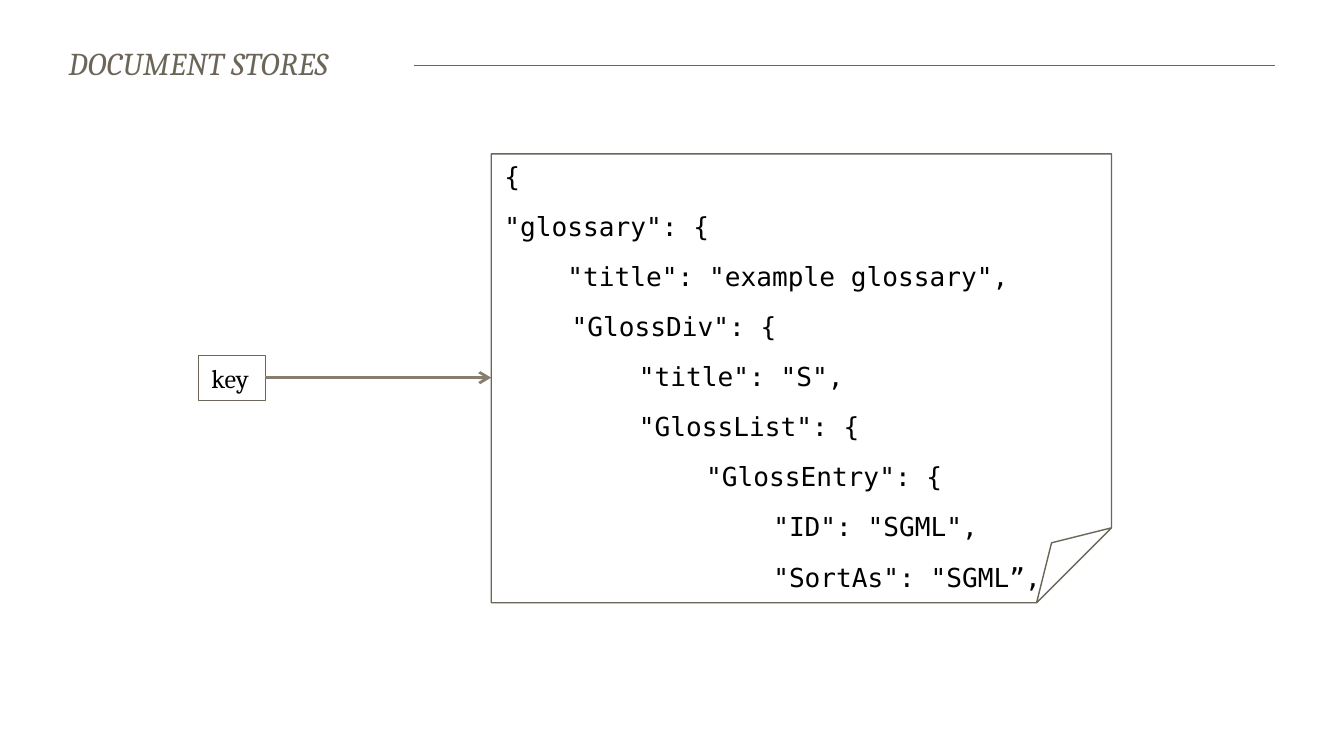
from lxml import etree
from pptx import Presentation
from pptx.dml.color import RGBColor
from pptx.enum.shapes import MSO_CONNECTOR as Connector, MSO_SHAPE as Shape
from pptx.enum.text import MSO_ANCHOR as Anchor, PP_ALIGN as Align
from pptx.oxml.ns import qn
from pptx.util import Pt

PX = 4572  # EMU per px, at 200 px to the inch
TAB = 100
BROWN = RGBColor(0x6C, 0x65, 0x59)
TAUPE = RGBColor(0x88, 0x7E, 0x6F)
BLACK = RGBColor(0, 0, 0)
WHITE = RGBColor(255, 255, 255)
SERIF, MONO = "Cambria", "DejaVu Sans Mono"

CODE = [
    '{',
    '"glossary": {',
    '    "title": "example glossary",',
    '\t"GlossDiv": {',
    '\t\t"title": "S",',
    '\t\t"GlossList": {',
    '\t\t\t"GlossEntry": {',
    '\t\t\t\t"ID": "SGML",',
    '\t\t\t\t"SortAs": "SGML”,',
]


def px(*lengths):
    return [length * PX for length in lengths]


def set_font(font, name, size, color):
    font.name, font.size, font.color.rgb = name, Pt(size), color


def add_line(page, x1, x2, y, color, width, arrow=False):
    line = page.shapes.add_connector(Connector.STRAIGHT, *px(x1, y, x2, y))
    line.line.color.rgb, line.line.width = color, Pt(width)
    if arrow:
        etree.SubElement(line.line._get_or_add_ln(), qn("a:tailEnd"), type="arrow")
    etree.SubElement(line._element.spPr, qn("a:effectLst"))


def add_outline(page, kind, box):
    shape = page.shapes.add_shape(kind, *px(*box))
    shape.shadow.inherit = False
    shape.fill.background()
    shape.line.color.rgb, shape.line.width = BROWN, Pt(0.75)
    return shape


def add_heading(page, box, text, line_end):
    left, top, width, height = box
    # The title's white fill hides the start of the rule
    add_line(page, left + 24, line_end, top + 32, BROWN, 0.2)
    title = page.shapes.title
    title.left, title.top, title.width, title.height = px(*box)
    title.fill.solid()
    title.fill.fore_color.rgb = WHITE
    frame = title.text_frame
    frame.text = text
    frame.word_wrap = False
    frame.vertical_anchor = Anchor.TOP
    frame.margin_top = frame.margin_bottom = 0
    para = frame.paragraphs[0]
    para.alignment = Align.LEFT
    set_font(para.font, SERIF, 17, BROWN)
    para.font.italic = True
    para.runs[0].font._element.set("spc", "20")
    # Bring the title in front of the rule
    page.shapes._spTree.append(title._element)


def add_key(page, box, arrow_end):
    left, top, width, height = box
    key = add_outline(page, Shape.RECTANGLE, box)
    frame = key.text_frame
    frame.text = "key"
    frame.word_wrap = False
    frame.vertical_anchor = Anchor.TOP
    para = frame.paragraphs[0]
    para.alignment = Align.LEFT
    set_font(para.font, SERIF, 14, BLACK)
    add_line(page, left + width, arrow_end, top + height // 2, TAUPE, 1.5, arrow=True)


def add_document(page, box, lines):
    left, top, width, height = box
    frame = page.shapes.add_textbox(*px(left, top, width + 50, height)).text_frame
    frame.word_wrap = True
    for index, text in enumerate(lines):
        para = frame.add_paragraph() if index else frame.paragraphs[0]
        para.text = text
        stops = etree.SubElement(para._p.get_or_add_pPr(), qn("a:tabLst"))
        for stop in range(1, 5):
            etree.SubElement(stops, qn("a:tab"), pos=str(stop * TAB * PX), algn="l")
        set_font(para.font, MONO, 14, BLACK)
        para.space_before, para.space_after = Pt(6 if index else 0), Pt(4)
    add_outline(page, Shape.FOLDED_CORNER, box)


def main():
    deck = Presentation()
    deck.slide_width, deck.slide_height = px(2000, 1125)
    page = deck.slides.add_slide(deck.slide_layouts[5])
    add_heading(page, (82, 65, 534, 58), "DOCUMENT STORES", line_end=1898)
    document = (731, 229, 923, 668)
    add_key(page, (295, 529, 100, 67), arrow_end=document[0])
    add_document(page, document, CODE)
    deck.save("out.pptx")


if __name__ == "__main__":
    main()
